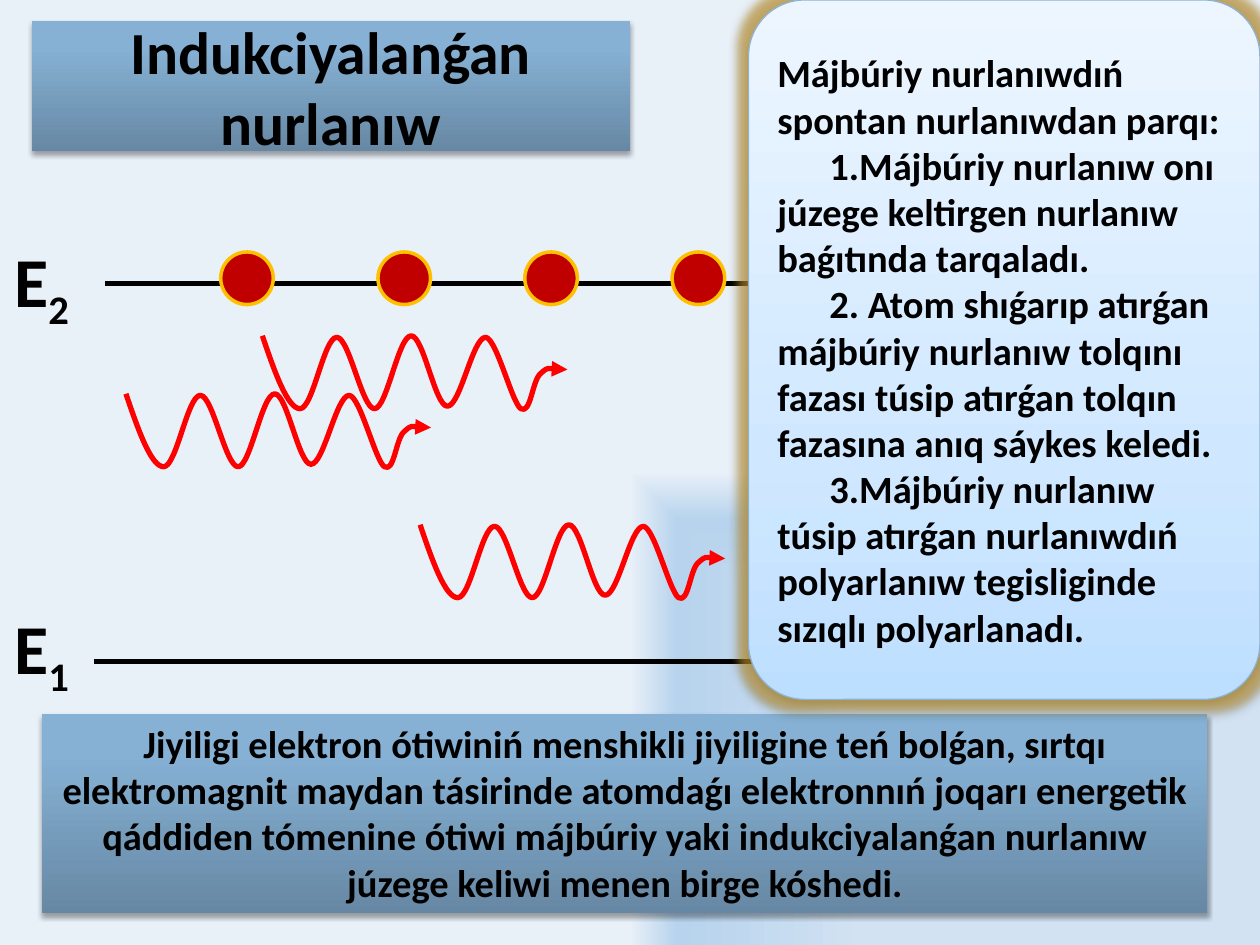
from typing import NamedTuple

from lxml.etree import SubElement
from pptx import Presentation
from pptx.dml.color import RGBColor
from pptx.enum.shapes import MSO_CONNECTOR, MSO_SHAPE
from pptx.enum.text import MSO_ANCHOR, MSO_AUTO_SIZE, PP_ALIGN
from pptx.oxml.ns import qn
from pptx.util import Cm, Pt

COLORS = {"black": "000000", "electron": "C00000", "rim": "FFC000",
          "wave": "FF0000", "outline": "8FB2CF", "glow": "C8982C"}
BANNER_STOPS = [(0, "6788A4"), (80, "86B1D4"), (100, "86B2D7")]
CARD_STOPS = [(0, "BDDFFF"), (35, "D0E8FF"), (100, "EDF6FF")]
PAGE_STOPS = [(50, "D2E2F2"), (90, "B7D3ED"), (100, "E8F0F8")]

# Bezier points of one wave, in hundredths of a centimetre from its start.
WAVE = [(25, 74), (51, 147), (76, 147), (102, 147), (124, 3), (150, 3),
        (175, 3), (201, 147), (226, 147), (251, 147), (274, 0), (300, 0),
        (325, 0), (348, 142), (373, 142), (399, 142), (424, 3), (450, 3),
        (472, 5), (503, 135), (521, 147), (541, 160), (544, 89), (561, 76),
        (577, 61), (597, 68), (615, 68)]


class Box(NamedTuple):
    """Place and size in centimetres."""
    left: float
    top: float
    width: float
    height: float


class Level(NamedTuple):
    """An energy level with its line and label, in centimetres."""
    number: str
    line_left: float
    line_top: float
    label_top: float


LEVELS = [Level("1", 1.9, 13.34, 12.06), Level("2", 2.12, 5.72, 4.66)]
LEVEL_RIGHT = 16.51
ELECTRON_LEFTS = [4.45, 7.62, 10.58, 13.55]
WAVE_STARTS = [(2.54, 7.94), (5.29, 6.77), (8.47, 10.58)]

TITLE = "Indukciyalanǵan nurlanıw"
DEFINITION = ("Jiyiligi elektron ótiwiniń menshikli jiyiligine teń bolǵan, sırtqı "
              "elektromagnit maydan tásirinde atomdaǵı elektronnıń joqarı energetik "
              "qáddiden tómenine ótiwi májbúriy yaki indukciyalanǵan nurlanıw "
              "júzege keliwi menen birge kóshedi.")
CARD_HEAD = "Májbúriy nurlanıwdıń spontan nurlanıwdan parqı:"
CARD_POINTS = [
    "1.Májbúriy nurlanıw onı júzege keltirgen nurlanıw baǵıtında tarqaladı.",
    "2. Atom shıǵarıp atırǵan májbúriy nurlanıw tolqını fazası túsip atırǵan "
    "tolqın fazasına anıq sáykes keledi.",
    "3.Májbúriy nurlanıw túsip atırǵan nurlanıwdıń polyarlanıw tegisliginde "
    "sızıqlı polyarlanadı.",
]


def color(name: str) -> RGBColor:
    """Look up a named colour."""
    return RGBColor.from_string(COLORS[name])


def add_color(parent, value: str, alpha: int = 100) -> None:
    """Append a colour element with an opacity in percent."""
    tone = SubElement(parent, qn("a:srgbClr"), val=value)
    if alpha < 100:
        SubElement(tone, qn("a:alpha"), val=str(alpha * 1000))


def set_gradient(fill, root, stops, corner: bool = False) -> None:
    """Give a fill its stops, running upward or out from the lower right corner."""
    fill.gradient()
    grad = next(root.iter(qn("a:gradFill")))
    for child in list(grad):
        grad.remove(child)
    stop_list = SubElement(grad, qn("a:gsLst"))
    for position, value in stops:
        add_color(SubElement(stop_list, qn("a:gs"), pos=str(position * 1000)), value)
    if corner:
        focus = SubElement(grad, qn("a:path"), path="rect")
        SubElement(focus, qn("a:fillToRect"), l="100000", t="100000")
    else:
        SubElement(grad, qn("a:lin"), ang="16200000", scaled="0")


def add_effects(shape, distance: float, alpha: int, glow: float = 0) -> None:
    """Add a soft shadow below a shape and, if asked, a glow around it."""
    effects = shape._element.spPr.find(qn("a:effectLst"))
    if glow:
        halo = SubElement(effects, qn("a:glow"), rad=str(Pt(glow)))
        add_color(halo, COLORS["glow"], 60)
    shadow = SubElement(effects, qn("a:outerShdw"), blurRad=str(Pt(3.1)),
                        dist=str(Pt(distance)), dir="5400000", rotWithShape="0")
    add_color(shadow, COLORS["black"], alpha)


def add_span(para, text: str, *, size: float, baseline: int = 0) -> None:
    """Add a bold black run, lowered or raised by a baseline percentage."""
    span = para.add_run()
    span.text = text
    font = span.font
    font.name, font.size, font.bold = "Calibri", Pt(size), True
    font.color.rgb = color("black")
    if baseline:
        font._element.set("baseline", str(baseline * 1000))


def write(box, text: str, *, size: float, align=PP_ALIGN.LEFT, indent: float = 0,
          new: bool = False):
    """Write one paragraph into a box and return it."""
    frame = box.text_frame
    para = frame.add_paragraph() if new else frame.paragraphs[0]
    para.alignment = align
    if indent:
        properties = para._p.get_or_add_pPr()
        properties.set("marL", "0")
        properties.set("indent", str(Cm(indent)))
    add_span(para, text, size=size)
    return para


def add_box(page, kind, place: Box):
    """Add a preset shape without its theme shadow."""
    box = page.shapes.add_shape(kind, *map(Cm, place))
    box.shadow.inherit = False
    box.text_frame.word_wrap = True
    return box


def add_banner(page, place: Box, text: str, size: float, anchor) -> None:
    """Add a shaded rectangle with centred text."""
    banner = add_box(page, MSO_SHAPE.RECTANGLE, place)
    set_gradient(banner.fill, banner._element, BANNER_STOPS)
    banner.line.fill.background()
    add_effects(banner, 1.8, 35)
    banner.text_frame.vertical_anchor = anchor
    write(banner, text, size=size, align=PP_ALIGN.CENTER)


def add_level(page, level: Level) -> None:
    """Draw an energy level line and its label."""
    top = Cm(level.line_top)
    line = page.shapes.add_connector(MSO_CONNECTOR.STRAIGHT, Cm(level.line_left), top,
                                     Cm(LEVEL_RIGHT), top)
    line.line.color.rgb, line.line.width = color("black"), Pt(3)
    SubElement(line._element.spPr, qn("a:effectLst"))
    label = page.shapes.add_textbox(Cm(0), Cm(level.label_top), Cm(1.68), Cm(1.96))
    label.text_frame.word_wrap = False
    label.text_frame.auto_size = MSO_AUTO_SIZE.SHAPE_TO_FIT_TEXT
    para = write(label, "Е", size=40, align=PP_ALIGN.CENTER)
    add_span(para, level.number, size=40, baseline=-25)


def add_electron(page, left: float) -> None:
    """Draw an electron on the upper level."""
    electron = add_box(page, MSO_SHAPE.OVAL, Box(left, 5.08, 1.06, 1.06))
    electron.fill.solid()
    electron.fill.fore_color.rgb = color("electron")
    electron.line.color.rgb, electron.line.width = color("rim"), Pt(2)


def add_wave(page, left: float, top: float) -> None:
    """Draw a curved photon wave with an arrowhead."""
    builder = page.shapes.build_freeform(0, 0, scale=Cm(0.01))
    builder.add_line_segments(WAVE, close=False)
    wave = builder.convert_to_shape(Cm(left), Cm(top))
    wave.shadow.inherit = False
    wave.fill.background()
    wave.line.color.rgb, wave.line.width = color("wave"), Pt(3)
    SubElement(wave.line._get_or_add_ln(), qn("a:tailEnd"), type="triangle")
    outline = next(wave._element.iter(qn("a:path")))
    outline.set("fill", "none")
    segments = outline.findall(qn("a:lnTo"))
    for start in range(0, len(segments), 3):
        curve = SubElement(outline, qn("a:cubicBezTo"))
        for segment in segments[start:start + 3]:
            curve.append(segment[0])
            outline.remove(segment)


def add_card(page) -> None:
    """Add the rounded card that lists the differences."""
    card = add_box(page, MSO_SHAPE.ROUNDED_RECTANGLE, Box(15.09, 0, 10.31, 14.1))
    card.adjustments[0] = 0.11
    set_gradient(card.fill, card._element, CARD_STOPS)
    card.line.color.rgb, card.line.width = color("outline"), Pt(0.75)
    add_effects(card, 1.6, 38, glow=11)
    card.text_frame.vertical_anchor = MSO_ANCHOR.MIDDLE
    write(card, CARD_HEAD, size=22)
    for point in CARD_POINTS:
        write(card, point, size=22, indent=1.05, new=True)


deck = Presentation()
deck.slide_width, deck.slide_height = Cm(25.4), Cm(19.05)
page = deck.slides.add_slide(deck.slide_layouts[6])
set_gradient(page.background.fill, page._element, PAGE_STOPS, corner=True)
add_banner(page, Box(0.64, 0.43, 12.06, 2.62), TITLE, 34.1, MSO_ANCHOR.MIDDLE)
for level in LEVELS:
    add_level(page, level)
for left in ELECTRON_LEFTS:
    add_electron(page, left)
for left, top in WAVE_STARTS:
    add_wave(page, left, top)
add_banner(page, Box(0.85, 14.39, 23.49, 4.02), DEFINITION, 22, MSO_ANCHOR.TOP)
add_card(page)
deck.save("out.pptx")
